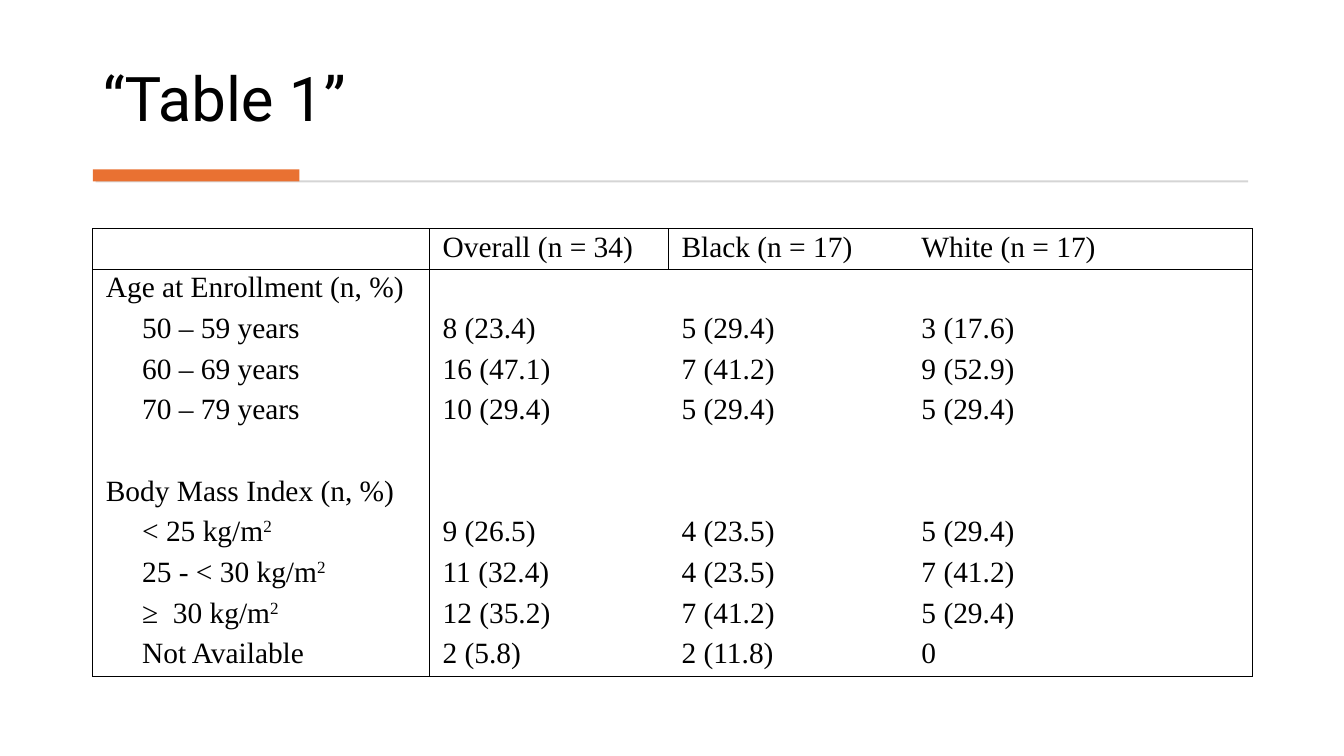
"""Build a slide with a table of participant characteristics."""
from lxml.etree import SubElement
from pptx import Presentation
from pptx.dml.color import RGBColor
from pptx.enum.shapes import MSO_SHAPE
from pptx.enum.text import MSO_ANCHOR, PP_ALIGN
from pptx.oxml.ns import qn
from pptx.util import Inches, Pt

COLORS = {"text": "000000", "rule": "D5D5D5", "accent": "E97132"}
TITLE = "“Table 1”"
HEADER = ("", "Overall (n = 34)", "Black (n = 17)", "White (n = 17)")
GROUPS = [
    ("Age at Enrollment (n, %)", [
        ("50 – 59 years", "8 (23.4)", "5 (29.4)", "3 (17.6)"),
        ("60 – 69 years", "16 (47.1)", "7 (41.2)", "9 (52.9)"),
        ("70 – 79 years", "10 (29.4)", "5 (29.4)", "5 (29.4)"),
    ]),
    ("Body Mass Index (n, %)", [
        ("< 25 kg/m^2", "9 (26.5)", "4 (23.5)", "5 (29.4)"),
        ("25 - < 30 kg/m^2", "11 (32.4)", "4 (23.5)", "7 (41.2)"),
        ("≥  30 kg/m^2", "12 (35.2)", "7 (41.2)", "5 (29.4)"),
        ("Not Available", "2 (5.8)", "2 (11.8)", "0"),
    ]),
]
COL_WIDTHS = (3.34, 2.37, 2.38, 3.41)
BARS = [("rule", 0.95, 1.79, 11.43, 0.02), ("accent", 0.92, 1.68, 2.05, 0.12)]
LEFT, TOP, HEIGHT = 0.92, 2.27, 4.44
MARGIN, INDENT = 0.13, 0.36


def rgb(name):
    return RGBColor.from_string(COLORS[name])


def set_font(p, name, size):
    p.font.name = name
    p.font.size = Pt(size)
    p.font.color.rgb = rgb("text")


def set_borders(cell, sides):
    tcPr = cell._tc.get_or_add_tcPr()
    for i, side in enumerate("LRTB"):
        ln = SubElement(tcPr, qn(f"a:ln{side}"), w=str(Pt(1)))
        if side in sides:
            fill = SubElement(ln, qn("a:solidFill"))
            SubElement(fill, qn("a:srgbClr"), val=COLORS["text"])
        else:
            SubElement(ln, qn("a:noFill"))
        tcPr.insert(i, ln)


def fill_cell(cell, text, indent):
    cell.margin_left = Inches(MARGIN + indent)
    cell.margin_right = Inches(MARGIN)
    cell.margin_top, cell.margin_bottom = Inches(0.02), 0
    cell.fill.background()
    p = cell.text_frame.paragraphs[0]
    set_font(p, "Times New Roman", 21)
    base, _, power = text.partition("^")
    if base:
        p.add_run().text = base
    if power:
        r = p.add_run()
        r.text = power
        r._r.get_or_add_rPr().set("baseline", "30000")


def table_rows():
    rows = [(HEADER, 0)]
    for i, (heading, items) in enumerate(GROUPS):
        if i:
            rows.append((("",) * len(HEADER), 0))
        rows.append(((heading,) + ("",) * (len(HEADER) - 1), 0))
        rows += [(item, INDENT) for item in items]
    return rows


def borders_at(row, col, last_row, last_col):
    edges = {
        "L": col < 2 or (row == 0 and col == 2),
        "R": col in (0, last_col) or (row == 0 and col == 1),
        "T": row < 2,
        "B": row in (0, last_row),
    }
    return [side for side, shown in edges.items() if shown]


def add_data_table(s):
    rows = table_rows()
    table = s.shapes.add_table(len(rows), len(HEADER), Inches(LEFT), Inches(TOP),
                               Inches(sum(COL_WIDTHS)), Inches(HEIGHT)).table
    table.first_row = table.horz_banding = False
    for column, width in zip(table.columns, COL_WIDTHS):
        column.width = Inches(width)
    for i, (texts, indent) in enumerate(rows):
        for j, text in enumerate(texts):
            cell = table.cell(i, j)
            fill_cell(cell, text, 0 if j else indent)
            set_borders(cell, borders_at(i, j, len(rows) - 1, len(HEADER) - 1))


def main():
    prs = Presentation()
    prs.slide_width, prs.slide_height = Inches(13.33), Inches(7.5)
    s = prs.slides.add_slide(prs.slide_layouts[5])

    title = s.shapes.title
    title.left, title.top = Inches(LEFT), Inches(0.28)
    title.width, title.height = Inches(11.49), Inches(1.11)
    tf = title.text_frame
    tf.text = TITLE
    tf.vertical_anchor = MSO_ANCHOR.BOTTOM
    p = tf.paragraphs[0]
    p.alignment = PP_ALIGN.LEFT
    p.line_spacing = 0.9
    set_font(p, "Roboto", 44)

    for color, *box in BARS:
        sp = s.shapes.add_shape(MSO_SHAPE.RECTANGLE, *map(Inches, box))
        sp.shadow.inherit = False
        sp.fill.solid()
        sp.fill.fore_color.rgb = rgb(color)
        sp.line.fill.background()

    add_data_table(s)
    prs.save("out.pptx")


if __name__ == "__main__":
    main()
